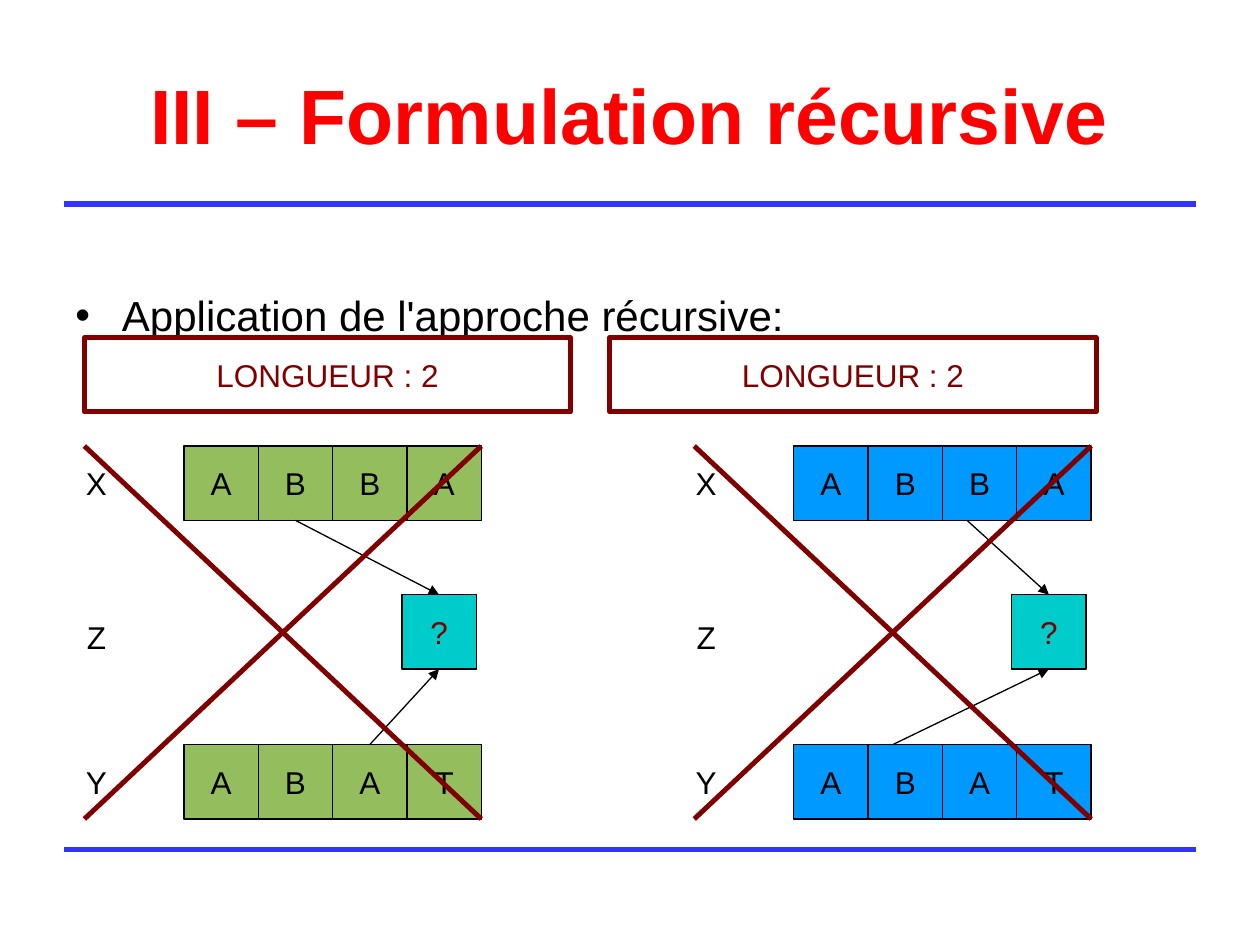
from lxml import etree
from pptx import Presentation
from pptx.dml.color import RGBColor
from pptx.enum.shapes import MSO_CONNECTOR, MSO_SHAPE
from pptx.enum.text import MSO_ANCHOR, MSO_AUTO_SIZE, PP_ALIGN
from pptx.oxml.ns import qn
from pptx.util import Inches, Pt

RECT = MSO_SHAPE.RECTANGLE
LINE = MSO_CONNECTOR.STRAIGHT
CENTER = PP_ALIGN.CENTER
MIDDLE = MSO_ANCHOR.MIDDLE
FIXED = MSO_AUTO_SIZE.NONE
TOP, BOTTOM = 0, 2

FONT = "Arial"
CELL = 0.59
COLORS = {
    "title": "FF0000", "rule": "3333FF", "ink": "000000", "paper": "FFFFFF",
    "green": "94BD5E", "blue": "0099FF", "teal": "00CCCC", "maroon": "800000",
}


def rgb(name):
    return RGBColor.from_string(COLORS[name])


def style(para, size, color, bold=False):
    font = para.font
    font.name, font.size, font.bold = FONT, Pt(size), bold
    font.color.rgb = rgb(color)


def add_line(slide, start, end, color, width, arrow=False):
    line = slide.shapes.add_connector(LINE, *map(Inches, start + end))
    line.line.color.rgb = rgb(color)
    line.line.width = Pt(width)
    if arrow:
        etree.SubElement(line.line._get_or_add_ln(), qn("a:tailEnd"), type="triangle")
    etree.SubElement(line._element.spPr, qn("a:effectLst"))
    return line


def add_box(slide, box, text, fill=None, edge=None, width=0.75, color="ink"):
    shape = slide.shapes.add_shape(RECT, *map(Inches, box))
    shape.shadow.inherit = False
    if fill:
        shape.fill.solid()
        shape.fill.fore_color.rgb = rgb(fill)
    else:
        shape.fill.background()
    if edge:
        shape.line.color.rgb = rgb(edge)
        shape.line.width = Pt(width)
    else:
        shape.line.fill.background()
    frame = shape.text_frame
    frame.vertical_anchor = MIDDLE
    para = frame.paragraphs[0]
    para.text, para.alignment = text, CENTER
    style(para, 18, color)
    return shape


def add_title(slide, box, text):
    title = slide.shapes.title
    title.left, title.top, title.width, title.height = map(Inches, box)
    frame = title.text_frame
    frame.auto_size, frame.vertical_anchor = FIXED, MIDDLE
    frame.margin_top = Inches(0.09)
    para = frame.paragraphs[0]
    para.text, para.alignment, para.line_spacing = text, CENTER, 0.93
    style(para, 44, "title", bold=True)


def add_bullet(slide, box, text):
    frame = slide.shapes.add_textbox(*map(Inches, box)).text_frame
    frame.word_wrap = True
    frame.margin_top = Inches(0.55)
    para = frame.paragraphs[0]
    para.text = text
    props = para._p.get_or_add_pPr()
    indent = Inches(0.37)
    props.set("marL", str(indent))
    props.set("indent", str(-indent))
    etree.SubElement(props, qn("a:buFont"), typeface=FONT)
    etree.SubElement(props, qn("a:buChar"), char="•")
    style(para, 24, "ink")


def add_row(slide, left, top, word, fill):
    return [add_box(slide, (left + i * CELL, top, CELL, CELL), char, fill, "ink")
            for i, char in enumerate(word)]


def add_panel(slide, box, fill, picks, shift):
    """Two words, the unknown cell they point to, and a cross over all."""
    left, top, width, height = box
    low = top + height - CELL
    mid = top + 1.18
    for label, y in (("X", top), ("Z", mid + 0.04), ("Y", low)):
        add_box(slide, (left, y, CELL, CELL), label, "paper")

    # Words and unknown cell
    start = left + 0.99
    rows = [add_row(slide, start, top, "ABBA", fill),
            add_row(slide, start, low, "ABAT", fill)]
    mark = add_box(slide, (left + 2.72, mid, CELL, CELL), "?", "teal", "ink",
                   color="maroon")

    # Arrows from the chosen letters
    sides = ((top + CELL, BOTTOM, TOP), (low, TOP, BOTTOM))
    for row, pick, (y, leave, enter) in zip(rows, picks, sides):
        x = start + (pick + 0.5) * CELL + shift
        arrow = add_line(slide, (x, y), (x, y), "ink", 0.75, arrow=True)
        if not shift:
            arrow.begin_connect(row[pick], leave)
        arrow.end_connect(mark, enter)

    # Cross
    near, far, base = left + 0.2, left + width, top + height
    add_line(slide, (near, top), (far, base), "maroon", 2.83)
    add_line(slide, (far, top), (near, base), "maroon", 2.83)


def main():
    prs = Presentation()
    prs.slide_width, prs.slide_height = Inches(10), Inches(7.5)
    slide = prs.slides.add_slide(prs.slide_layouts[5])

    # Frame and heading
    for y in (6.74, 1.62):
        add_line(slide, (0.51, y), (9.49, y), "rule", 3)
    add_title(slide, (0.5, 0.3, 9, 1.25), "III – Formulation récursive")
    add_bullet(slide, (0.5, 1.75, 9, 4.95), "Application de l'approche récursive:")

    # Panels: left edge, fill, chosen letters, arrow shift, banner left edge
    panels = ((5.31, "blue", (2, 1), -0.1, 4.84),
              (0.47, "green", (1, 2), 0, 0.67))
    for left, fill, picks, shift, edge in panels:
        add_panel(slide, (left, 3.54, 3.35, 2.96), fill, picks, shift)
        add_box(slide, (edge, 2.68, 3.86, CELL), "LONGUEUR : 2",
                edge="maroon", width=2.83, color="maroon")

    prs.save("out.pptx")


if __name__ == "__main__":
    main()
